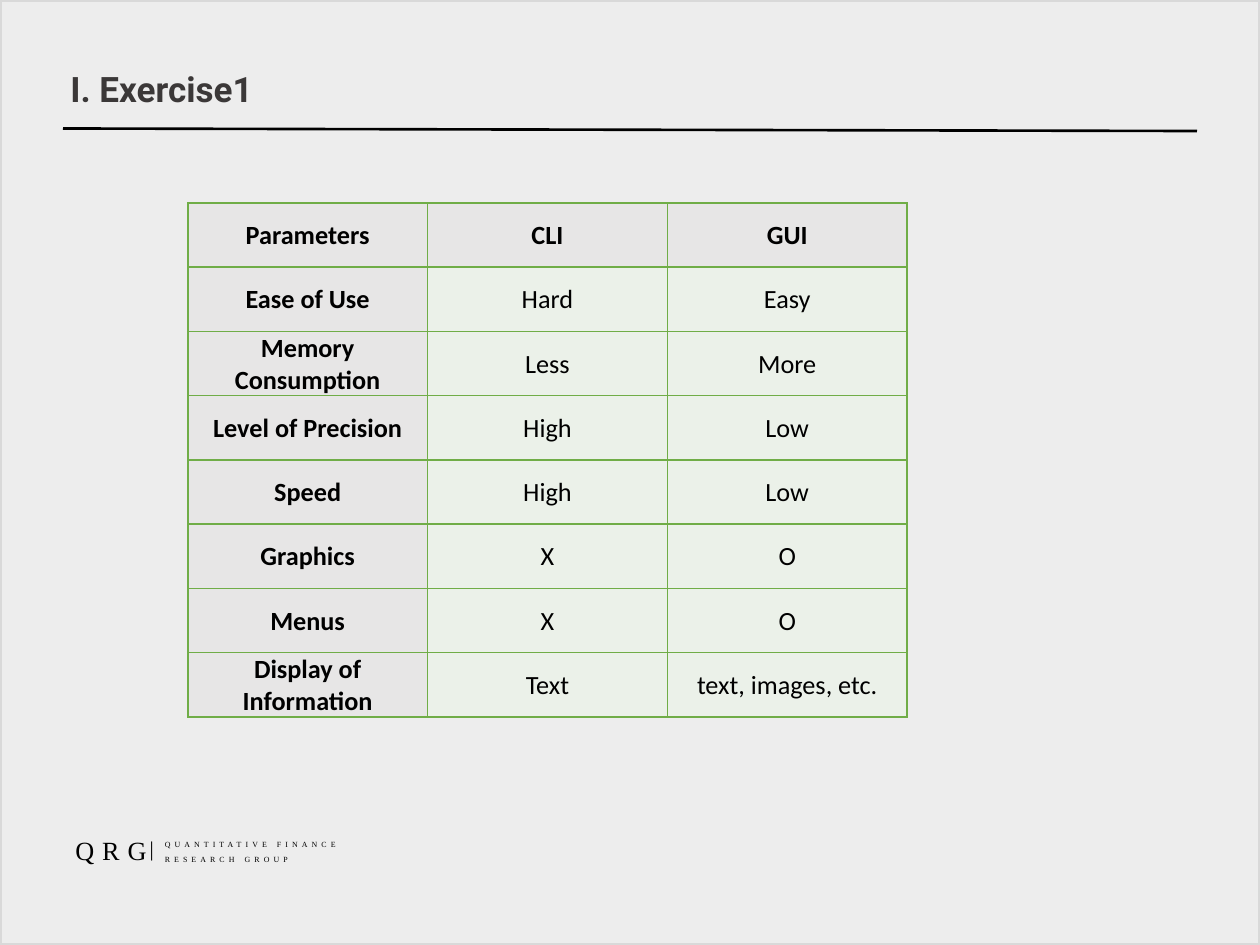
from dataclasses import dataclass

from lxml import etree
from pptx import Presentation
from pptx import util as u
from pptx.dml.color import RGBColor
from pptx.enum import shapes, text
from pptx.oxml.ns import qn


@dataclass(frozen=True)
class Theme:
    back: str = "EDEDED"
    frame: str = "D9D9D9"
    ink: str = "000000"
    title: str = "3B3838"
    head: str = "E7E6E6"
    body: str = "EBF1E9"
    grid: str = "70AD47"
    big: float = 20
    mid: float = 15
    bar: float = 12
    tiny: float = 4.5


@dataclass(frozen=True)
class Label:
    lines: tuple[str, ...]
    box: tuple[float, float, float, float]
    size: float
    color: str
    font: str = "Times New Roman"
    bold: bool = False
    gap: float = 0
    lead: float = 1.0
    mid: bool = False


T = Theme()
ROWS = (
    ("Parameters", "CLI", "GUI"),
    ("Ease of Use", "Hard", "Easy"),
    ("Memory Consumption", "Less", "More"),
    ("Level of Precision", "High", "Low"),
    ("Speed", "High", "Low"),
    ("Graphics", "X", "O"),
    ("Menus", "X", "O"),
    ("Display of Information", "Text", "text, images, etc."),
)
TITLE = Label(("Ⅰ. Exercise1",), (0.46, 0.49, 8.85, 0.47), T.big, T.title,
              "Roboto", bold=True, lead=0.9, mid=True)
FOOTER = (
    Label(("QRG",), (0.5, 6.57, 0.82, 0.35), T.mid, T.ink, gap=4.5),
    Label(("QUANTITATIVE FINANCE", "RESEARCH GROUP"), (1.21, 6.58, 1.64, 0.31),
          T.tiny, T.ink, gap=2.3, lead=1.5),
    Label(("|",), (1.09, 6.58, 0.3, 0.3), T.bar, T.ink),
)


def rgb(code: str) -> RGBColor:
    return RGBColor.from_string(code)


def style(para, font: str, size: float, color: str, bold: bool) -> None:
    para.font.name = font
    para.font.size = u.Pt(size)
    para.font.color.rgb = rgb(color)
    para.font.bold = bold


def write(tree, label: Label) -> None:
    frame = tree.add_textbox(*map(u.Inches, label.box)).text_frame
    frame.word_wrap = True
    if label.mid:
        frame.vertical_anchor = text.MSO_ANCHOR.MIDDLE
    frame.text = "\n".join(label.lines)
    for para in frame.paragraphs:
        style(para, label.font, label.size, label.color, label.bold)
        para.line_spacing = label.lead
        if label.gap:
            for run in para.runs:
                run.font._element.set("spc", str(round(label.gap * 100)))


def back(tree) -> None:
    rect = tree.add_shape(shapes.MSO_SHAPE.RECTANGLE, 0, 0, u.Inches(10), u.Inches(7.5))
    rect.shadow.inherit = False
    rect.fill.solid()
    rect.fill.fore_color.rgb = rgb(T.back)
    rect.line.color.rgb = rgb(T.frame)
    rect.line.width = u.Pt(2.25)


def rule(tree) -> None:
    line = tree.add_connector(shapes.MSO_CONNECTOR.STRAIGHT, u.Inches(0.5),
                              u.Inches(1.02), u.Inches(9.5), u.Inches(1.04))
    line.line.color.rgb = rgb(T.ink)
    line.line.width = u.Pt(1.5)
    etree.SubElement(line._element.spPr, qn("a:effectLst"))


def border(cell) -> None:
    props = cell._tc.get_or_add_tcPr()
    for spot, side in enumerate(("lnL", "lnR", "lnT", "lnB")):
        edge = etree.Element(qn(f"a:{side}"), w=str(u.Pt(1)))
        fill = etree.SubElement(edge, qn("a:solidFill"))
        etree.SubElement(fill, qn("a:srgbClr"), val=T.grid)
        props.insert(spot, edge)


def table(tree) -> None:
    grid = tree.add_table(len(ROWS), len(ROWS[0]), u.Inches(1.49), u.Inches(1.61),
                          u.Inches(5.71), u.Inches(4.08)).table
    for r, row in enumerate(ROWS):
        for c, word in enumerate(row):
            cell = grid.cell(r, c)
            head = r == 0 or c == 0
            cell.text = word
            cell.vertical_anchor = text.MSO_ANCHOR.MIDDLE
            cell.margin_left = cell.margin_right = cell.margin_top = u.Inches(0.01)
            cell.margin_bottom = 0
            cell.fill.solid()
            cell.fill.fore_color.rgb = rgb(T.head if head else T.body)
            para = cell.text_frame.paragraphs[0]
            para.alignment = text.PP_ALIGN.CENTER
            style(para, "Calibri", T.mid, T.ink, head)
            border(cell)


def main() -> None:
    deck = Presentation()
    deck.slide_width, deck.slide_height = u.Inches(10), u.Inches(7.5)
    tree = deck.slides.add_slide(deck.slide_layouts[6]).shapes
    back(tree)
    rule(tree)
    group = tree.add_group_shape()
    for label in FOOTER:
        write(group.shapes, label)
    write(tree, TITLE)
    table(tree)
    deck.save("out.pptx")


if __name__ == "__main__":
    main()
